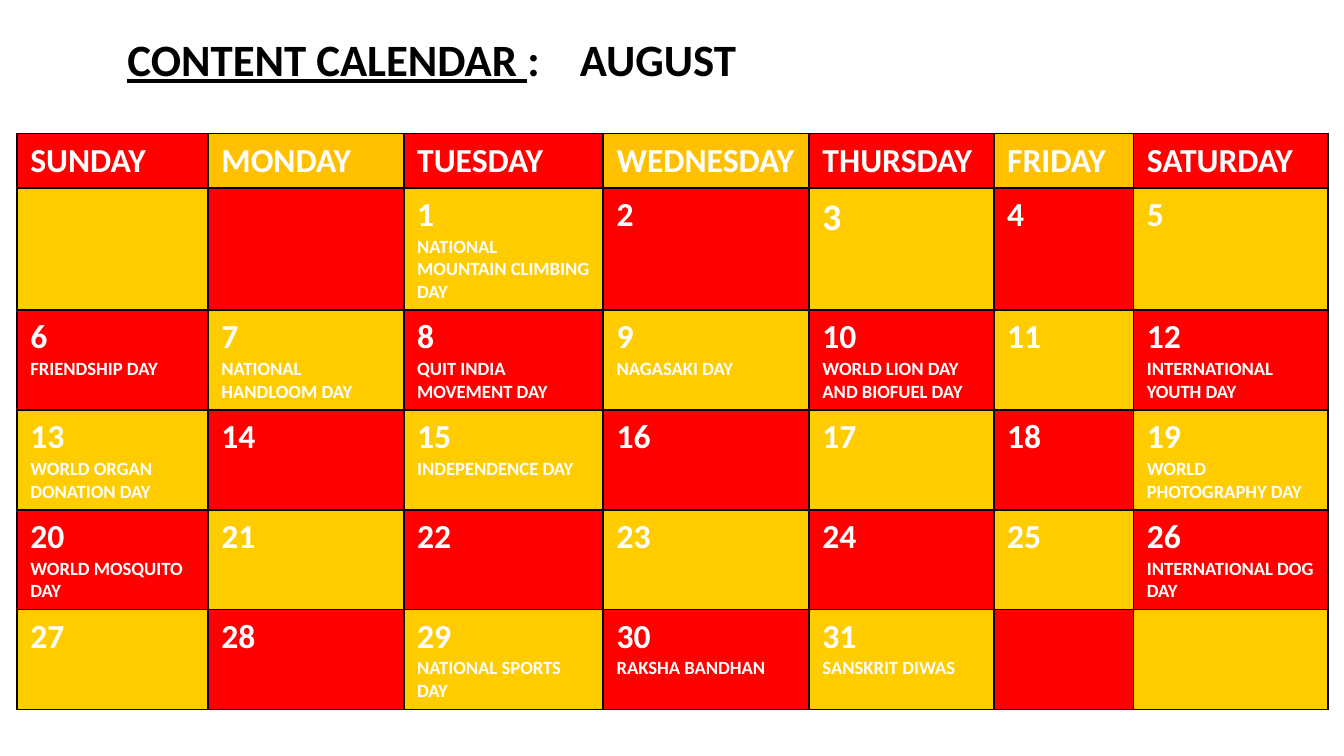
from lxml import etree
from pptx import Presentation
from pptx import util as u
from pptx.dml.color import RGBColor
from pptx.enum import text
from pptx.oxml import ns

RED, YELLOW, AMBER = "FF0000", "FFCC00", "FFC000"
WEEKDAYS = ["SUNDAY", "MONDAY", "TUESDAY", "WEDNESDAY", "THURSDAY", "FRIDAY", "SATURDAY"]
FIRST_COLUMN, LAST_DAY, WEEKS = 2, 31, 5
EVENTS = {
    1: "NATIONAL MOUNTAIN CLIMBING DAY",
    6: "FRIENDSHIP DAY",
    7: "NATIONAL HANDLOOM DAY",
    8: "QUIT INDIA MOVEMENT DAY",
    9: "NAGASAKI DAY",
    10: "WORLD LION DAY AND BIOFUEL DAY",
    12: "INTERNATIONAL YOUTH DAY",
    13: "WORLD ORGAN DONATION DAY",
    15: "INDEPENDENCE DAY",
    19: "WORLD PHOTOGRAPHY DAY",
    20: "WORLD MOSQUITO DAY",
    26: "INTERNATIONAL DOG DAY",
    29: "NATIONAL SPORTS DAY",
    30: "RAKSHA BANDHAN",
    31: "SANSKRIT DIWAS",
}
DAY_SIZES = {3: 20}


def colour(value):
    return RGBColor.from_string(value)


def add_text(para, words, size=18, ink="FFFFFF", underline=False, font="Calibri"):
    span = para.add_run()
    span.text = words
    span.font.name = font
    span.font.size = u.Pt(size)
    span.font.bold = True
    span.font.underline = underline
    span.font.color.rgb = colour(ink)


class CalendarPage:
    """Holds the style and the current slide."""

    ink = "000000"
    border_width = u.Pt(1)

    def __init__(self, deck):
        self.page = deck.slides.add_slide(deck.slide_layouts[6])

    def title(self, underlined, rest, left, top, width, height, tab):
        box = self.page.shapes.add_textbox(u.Cm(left), u.Cm(top), u.Cm(width), u.Cm(height))
        box.text_frame.word_wrap = True
        box.text_frame.auto_size = text.MSO_AUTO_SIZE.SHAPE_TO_FIT_TEXT
        para = box.text_frame.paragraphs[0]
        stops = etree.SubElement(para._p.get_or_add_pPr(), ns.qn("a:tabLst"))
        etree.SubElement(stops, ns.qn("a:tab"), pos=str(u.Cm(tab)), algn="l")
        add_text(para, underlined, size=24, ink=self.ink, underline=True)
        add_text(para, rest, size=24, ink=self.ink)

    def table(self, left, top, widths, heights):
        frame = self.page.shapes.add_table(
            len(heights), len(widths), u.Cm(left), u.Cm(top),
            u.Cm(sum(widths)), u.Cm(sum(heights)))
        grid = frame.table
        grid.first_row = grid.horz_banding = False
        for column, width in zip(grid.columns, widths):
            column.width = u.Cm(width)
        for row, height in zip(grid.rows, heights):
            row.height = u.Cm(height)
        return grid

    def cell(self, cell, fill, lines):
        properties = cell._tc.get_or_add_tcPr()
        for side in ("lnL", "lnR", "lnT", "lnB"):
            line = etree.SubElement(properties, ns.qn(f"a:{side}"), w=str(self.border_width))
            solid = etree.SubElement(line, ns.qn("a:solidFill"))
            etree.SubElement(solid, ns.qn("a:srgbClr"), val=self.ink)
        cell.fill.solid()
        cell.fill.fore_color.rgb = colour(fill)
        for index, (words, size) in enumerate(lines):
            frame = cell.text_frame
            para = frame.add_paragraph() if index else frame.paragraphs[0]
            add_text(para, words, size=size)


def day_lines(day):
    if not 1 <= day <= LAST_DAY:
        return []
    lines = [(str(day), DAY_SIZES.get(day, 18))]
    if day in EVENTS:
        lines.append((EVENTS[day], 10))
    return lines


def main():
    deck = Presentation()
    deck.slide_width, deck.slide_height = u.Cm(25.4), u.Cm(14.29)
    calendar = CalendarPage(deck)

    # Month grid
    grid = calendar.table(0.32, 2.52, [3.61, 3.7, 3.77, 3.89, 3.49, 2.64, 3.68],
                          [1.02, 2.29] + [1.87] * (WEEKS - 1))

    # Weekday header
    for column, name in enumerate(WEEKDAYS):
        calendar.cell(grid.cell(0, column), AMBER if column % 2 else RED, [(name, 18)])

    # Days, in a checkerboard of two colours
    for week in range(WEEKS):
        for column in range(len(WEEKDAYS)):
            day = week * len(WEEKDAYS) + column - FIRST_COLUMN + 1
            fill = RED if (week + column) % 2 else YELLOW
            calendar.cell(grid.cell(week + 1, column), fill, day_lines(day))

    # Title
    calendar.title("CONTENT CALENDAR ", ":\tAUGUST", 2.16, 0.48, 17.86, 1.27, tab=8.55)

    deck.save("out.pptx")


if __name__ == "__main__":
    main()
